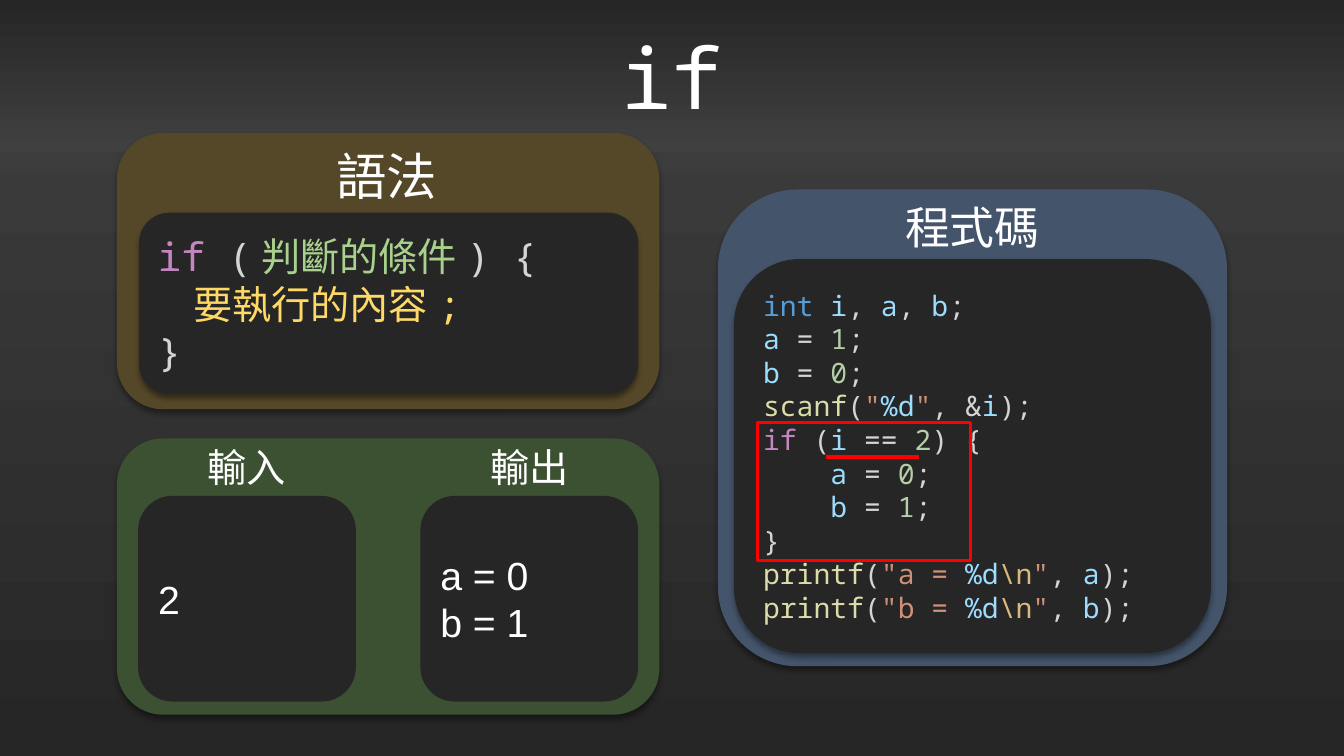
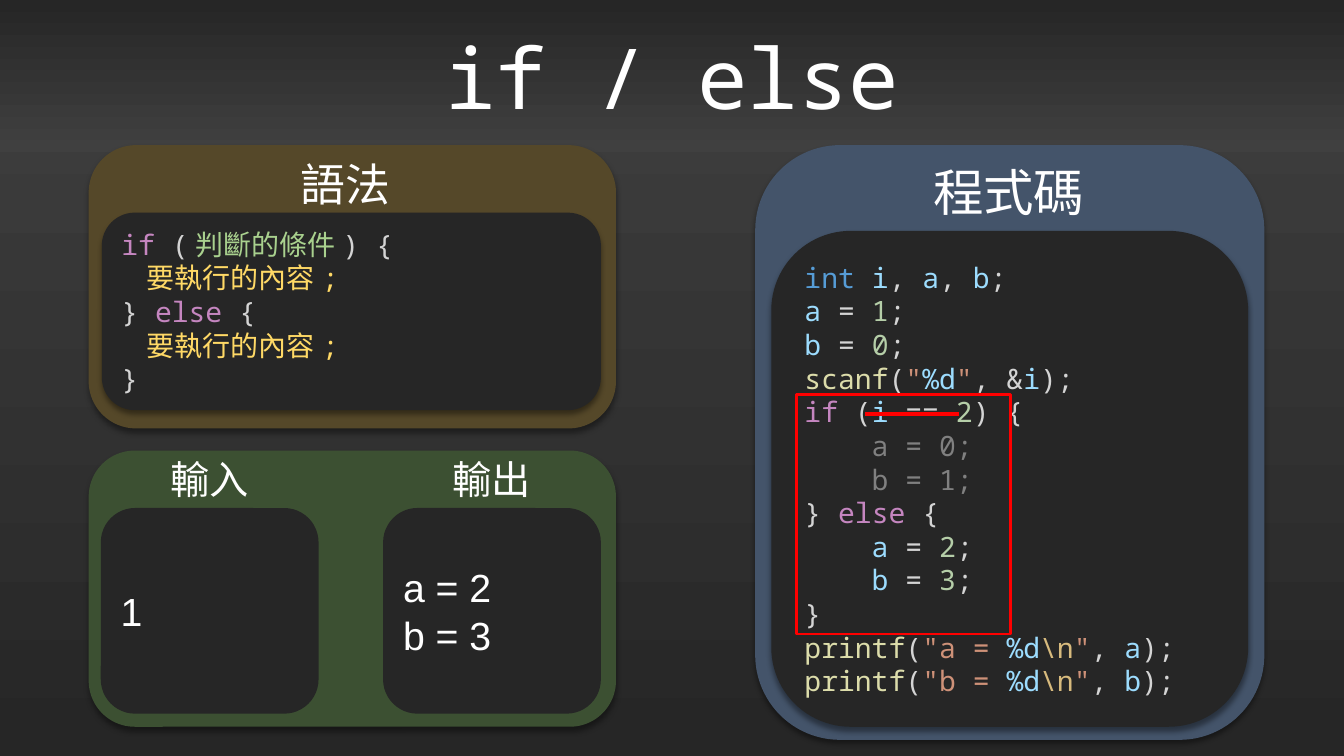
import lxml.etree
import pptx
import pptx.dml.color
import pptx.enum.shapes
import pptx.enum.text
import pptx.oxml.ns
import pptx.util

PX = 9144  # EMU: 100 px to the inch
SLIDE_WIDTH, SLIDE_HEIGHT = 1333, 750
BAND_HEIGHT = 151

MONO, SANS, CJK = "Noto Sans Mono", "Arial", "Noto Sans CJK TC"

COLORS = {
    "dark": "262626",
    "light": "404040",
    "syntax": "554829",
    "in_out": "3C5032",
    "program": "44546A",
    "mark": "FF0000",
    "shadow": "000000",
    "white": "FFFFFF",
    "plain": "D4D4D4",
    "control": "C586C0",
    "type": "569CD6",
    "name": "9CDCFE",
    "number": "B5CEA8",
    "function": "DCDCAA",
    "string": "CE9178",
    "escape": "D7BA7D",
    "skipped": "808080",
    "condition": "A9D18E",
    "body": "FFD966",
    "body_end": "FFD966",
}
CJK_STYLES = ("condition", "body")

SHAPES = pptx.enum.shapes.MSO_SHAPE
ALIGN = pptx.enum.text.PP_ALIGN
ANCHOR = pptx.enum.text.MSO_ANCHOR
qn = pptx.oxml.ns.qn


def px(*lengths):
    return [pptx.util.Emu(length * PX) for length in lengths]


def rgb(name):
    return pptx.dml.color.RGBColor.from_string(COLORS[name])


def inside(box, part):
    """Move a part, given relative to a box, to slide coordinates."""
    return (box[0] + part[0], box[1] + part[1], part[2], part[3])


def fill_gradient(fill, top, bottom):
    fill.gradient()
    fill.gradient_angle = 270
    for stop, name in zip(fill.gradient_stops, (top, bottom)):
        stop.color.rgb = rgb(name)


def add_shadow(shape):
    effects = shape._element.spPr.find(qn("a:effectLst"))
    shadow = lxml.etree.SubElement(
        effects, qn("a:outerShdw"), blurRad="50800", dist="38100",
        dir="5400000", algn="t", rotWithShape="0")
    color = lxml.etree.SubElement(shadow, qn("a:srgbClr"), val=COLORS["shadow"])
    lxml.etree.SubElement(color, qn("a:alpha"), val="40000")


def add_block(shapes, kind, box, color=None, shadow=False):
    shape = shapes.add_shape(kind, *px(*box))
    shape.shadow.inherit = False
    shape.line.fill.background()
    if color:
        shape.fill.solid()
        shape.fill.fore_color.rgb = rgb(color)
    if shadow:
        add_shadow(shape)
    return shape


def write(shape, lines, size, font, align=ALIGN.LEFT, anchor=ANCHOR.MIDDLE):
    """Fill a shape with lines, each a list of (text, style) pieces."""
    frame = shape.text_frame
    frame.word_wrap = True
    frame.vertical_anchor = anchor
    for index, line in enumerate(lines):
        paragraph = frame.add_paragraph() if index else frame.paragraphs[0]
        paragraph.alignment = align
        for text, style in line:
            run = paragraph.add_run()
            run.text = text
            run.font.size = pptx.util.Pt(size)
            run.font.color.rgb = rgb(style)
            run.font.name = CJK if style in CJK_STYLES else font
            east_asian = MONO if font == MONO and style not in CJK_STYLES else CJK
            lxml.etree.SubElement(run._r.get_or_add_rPr(), qn("a:ea"),
                                  typeface=east_asian)


def add_heading(shapes, text, box, size):
    heading = shapes.add_textbox(*px(*box))
    write(heading, [[(text, "white")]], size, SANS, ALIGN.CENTER, ANCHOR.TOP)


def add_title(slide, text):
    fill_gradient(slide.background.fill, "light", "dark")
    band = add_block(slide.shapes, SHAPES.RECTANGLE,
                     (0, 0, SLIDE_WIDTH, BAND_HEIGHT))
    fill_gradient(band.fill, "dark", "light")
    write(band, [[(text, "white")]], 60, MONO, ALIGN.CENTER)


def add_code_panel(slide, color, box, well, heading, lines, size):
    """Place a panel with a heading (text, size, top, shift) over a code well."""
    shapes = slide.shapes.add_group_shape().shapes
    add_block(shapes, SHAPES.ROUNDED_RECTANGLE, box, color, shadow=True)
    code = add_block(shapes, SHAPES.ROUNDED_RECTANGLE, inside(box, well),
                     "dark", shadow=True)
    write(code, lines, size, MONO)
    text, heading_size, top, shift = heading
    heading_box = (well[0] + shift, top, well[2], well[1] - top)
    add_heading(shapes, text, inside(box, heading_box), heading_size)


def add_in_out_panel(slide, box, margin, given, printed):
    well_top, well_width, well_height, gap = 57, 216, 204, 64
    shapes = slide.shapes.add_group_shape().shapes
    add_block(shapes, SHAPES.ROUNDED_RECTANGLE, box, "in_out", shadow=True)
    for column, (label, texts) in enumerate((("輸入", given), ("輸出", printed))):
        left = margin + column * (well_width + gap)
        well = add_block(shapes, SHAPES.ROUNDED_RECTANGLE,
                         inside(box, (left, well_top, well_width, well_height)),
                         "dark")
        write(well, [[(text, "white")] for text in texts], 28, SANS)
        add_heading(shapes, label, inside(box, (left, 0, well_width, well_top)), 28)


def add_marks(slide, box, condition_top):
    """Frame the branch and draw a line at its condition."""
    frame = add_block(slide.shapes, SHAPES.RECTANGLE, box)
    frame.fill.background()
    left, top, width, _ = inside(box, (68, condition_top, 93, 0))
    line = slide.shapes.add_connector(
        pptx.enum.shapes.MSO_CONNECTOR.STRAIGHT, *px(left, top, left + width, top))
    lxml.etree.SubElement(line._element.spPr, qn("a:effectLst"))
    for shape, weight in ((frame, 2), (line, 3)):
        shape.line.color.rgb = rgb("mark")
        shape.line.width = pptx.util.Pt(weight)


def assign(name, value, indent=""):
    return [(indent + name, "name"), (" = ", "plain"),
            (value, "number"), (";", "plain")]


def print_line(name):
    return [("printf", "function"), ("(", "plain"), (f'"{name} = ', "string"),
            ("%d", "name"), ("\\n", "escape"), ('"', "string"),
            (", ", "plain"), (name, "name"), (");", "plain")]


INDENT = "    "
CLOSE = [("}", "plain")]
ELSE = [("} ", "plain"), ("else", "control"), (" {", "plain")]
SYNTAX_IF = [("if", "control"), (" (", "plain"),
             ("判斷的條件", "condition"), (") {", "plain")]
SYNTAX_BODY = [(INDENT + "要執行的內容", "body"), (";", "body_end")]
PROGRAM_START = [
    [("int ", "type"), ("i", "name"), (", ", "plain"), ("a", "name"),
     (", ", "plain"), ("b", "name"), (";", "plain")],
    assign("a", "1"),
    assign("b", "0"),
    [("scanf", "function"), ("(", "plain"), ('"', "string"), ("%d", "name"),
     ('"', "string"), (", &", "plain"), ("i", "name"), (");", "plain")],
    [("if", "control"), (" (", "plain"), ("i", "name"), (" == ", "plain"),
     ("2", "number"), (") {", "plain")],
]
PROGRAM_END = [CLOSE, print_line("a"), print_line("b")]


def build_if(slide):
    add_title(slide, "if")
    add_in_out_panel(slide, (116, 435, 538, 274), 21, ["2"], ["a = 0", "b = 1"])
    add_code_panel(slide, "syntax", (116, 132, 538, 274), (22, 79, 495, 180),
                   ("語法", 36, 7, -2), [SYNTAX_IF, SYNTAX_BODY, CLOSE], 28)
    branch = [assign("a", "0", INDENT), assign("b", "1", INDENT)]
    add_code_panel(slide, "program", (712, 188, 505, 473), (16, 69, 473, 391),
                   ("程式碼", 32, 5, 0), PROGRAM_START + branch + PROGRAM_END, 20)
    add_marks(slide, (751, 419, 212, 137), 34)


def build_if_else(slide):
    add_title(slide, "if / else")
    add_code_panel(slide, "syntax", (88, 144, 523, 281), (13, 67, 495, 196),
                   ("語法", 32, 7, -6),
                   [SYNTAX_IF, SYNTAX_BODY, ELSE, SYNTAX_BODY, CLOSE], 20)
    add_in_out_panel(slide, (88, 447, 523, 274), 12, ["1"], ["a = 2", "b = 3"])
    branches = [
        [(INDENT + "a = 0;", "skipped")],
        [(INDENT + "b = 1;", "skipped")],
        ELSE,
        assign("a", "2", INDENT),
        assign("b", "3", INDENT),
    ]
    add_code_panel(slide, "program", (749, 144, 505, 590), (16, 85, 473, 492),
                   ("程式碼", 36, 11, -1), PROGRAM_START + branches + PROGRAM_END, 20)
    add_marks(slide, (790, 391, 212, 238), 20)


def main():
    presentation = pptx.Presentation()
    presentation.slide_width, presentation.slide_height = px(SLIDE_WIDTH, SLIDE_HEIGHT)
    blank = presentation.slide_layouts[6]
    for build in (build_if, build_if_else):
        build(presentation.slides.add_slide(blank))
    presentation.save("out.pptx")


if __name__ == "__main__":
    main()
